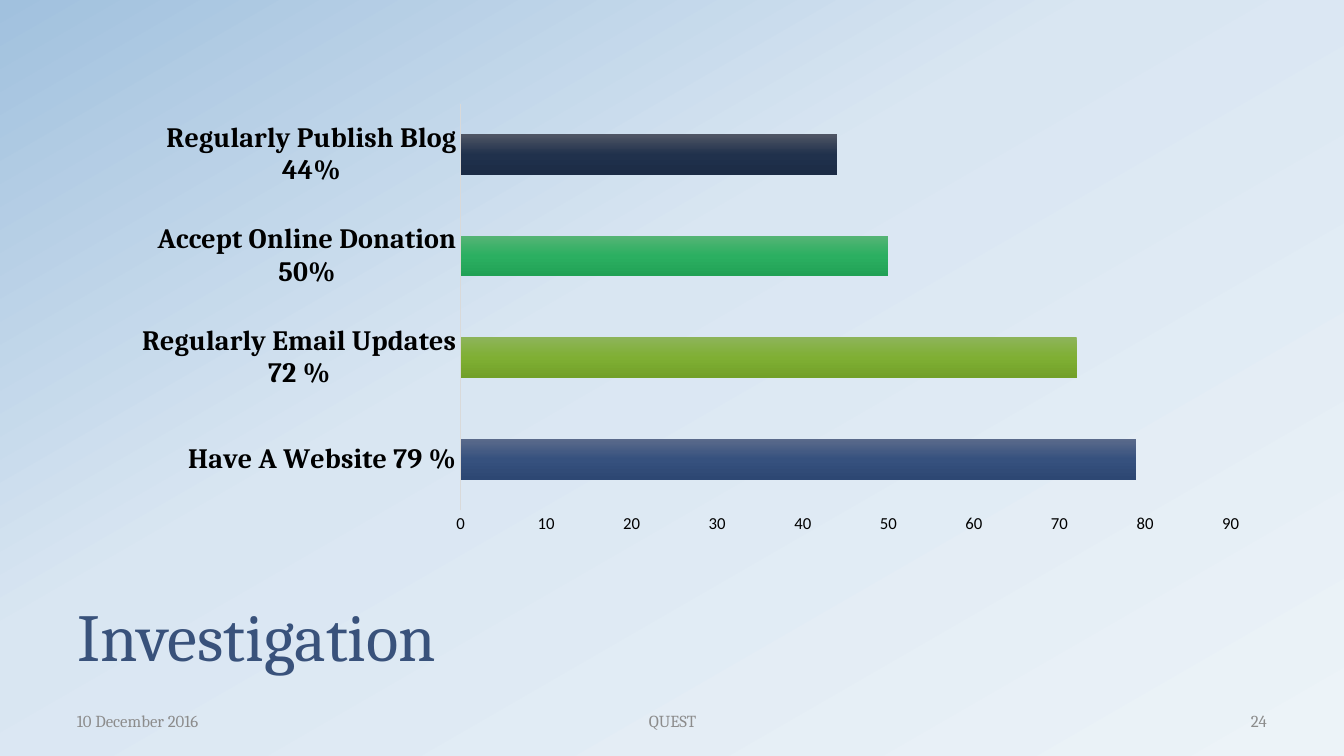
from lxml import etree
from pptx import Presentation
from pptx.chart.data import CategoryChartData
from pptx.dml.color import RGBColor
from pptx.enum.chart import XL_CHART_TYPE, XL_TICK_MARK
from pptx.enum.text import MSO_ANCHOR, MSO_AUTO_SIZE, PP_ALIGN
from pptx.oxml.ns import qn
from pptx.util import Pt

BAR_STACKED = XL_CHART_TYPE.BAR_STACKED
NO_TICK = XL_TICK_MARK.NONE
MIDDLE, BOTTOM = MSO_ANCHOR.MIDDLE, MSO_ANCHOR.BOTTOM
LEFT, CENTER, RIGHT = PP_ALIGN.LEFT, PP_ALIGN.CENTER, PP_ALIGN.RIGHT
NO_AUTOFIT = MSO_AUTO_SIZE.NONE

NAVY = RGBColor(0x39, 0x52, 0x7B)
GREY = RGBColor(0x8C, 0x8C, 0x8C)
DARK_GREY = RGBColor(0x40, 0x40, 0x40)
PALE_GREY = RGBColor(0xD9, 0xD9, 0xD9)
BLACK = RGBColor(0, 0, 0)

HEADING = "Investigation"
HEADING_BOX = (67, 562, 1210, 118)
FOOTER = [
    ("10 December 2016", 67, 314, LEFT),
    ("QUEST", 460, 425, CENTER),
    ("24", 963, 314, RIGHT),
]
FOOTER_TOP, FOOTER_HEIGHT = 701, 40
CHART_BOX = (142, 76, 1134, 462)
PLOT_AREA = {"x": 0.28, "y": 0.06, "w": 0.68, "h": 0.88}
BACKDROP = [(0, "ECF3F8"), (58, "D9E6F2"), (100, "A1C1DE")]
PRACTICES = [
    ("Have A Website 79 %", 79, ("5A6A8B", "36517E", "2D4773")),
    ("Regularly Email Updates 72 %", 72, ("8DB459", "7FAF33", "72A029")),
    ("Accept Online Donation 50%", 50, ("55B475", "2BAF61", "21A155")),
    ("Regularly Publish Blog 44%", 44, ("505665", "20314C", "1B2B45")),
]

EMU_PER_PX = 914400 / 100.8


def px(*lengths):
    return [round(length * EMU_PER_PX) for length in lengths]


def style(font, name, size, color, bold=False):
    font.name, font.size, font.bold = name, Pt(size), bold
    font.color.rgb = color


def paint_gradient(fill, owner, stops, angle):
    fill.gradient()
    gradient = owner.find(".//" + qn("a:gradFill"))
    for child in list(gradient):
        gradient.remove(child)
    stop_list = etree.SubElement(gradient, qn("a:gsLst"))
    for position, color in stops:
        stop = etree.SubElement(stop_list, qn("a:gs"), pos=str(position * 1000))
        etree.SubElement(stop, qn("a:srgbClr"), val=color)
    etree.SubElement(gradient, qn("a:lin"), ang=str(angle * 60000), scaled="0")


def place_plot(chart):
    plot_area = chart._chartSpace.find(".//" + qn("c:plotArea"))
    for old in plot_area.findall(qn("c:layout")):
        plot_area.remove(old)
    layout = etree.Element(qn("c:layout"))
    plot_area.insert(0, layout)
    manual = etree.SubElement(layout, qn("c:manualLayout"))
    settings = {"layoutTarget": "inner", "xMode": "edge", "yMode": "edge", **PLOT_AREA}
    for tag, setting in settings.items():
        etree.SubElement(manual, qn("c:" + tag), val=str(setting))


def add_heading(slide):
    heading = slide.shapes.title
    heading.left, heading.top, heading.width, heading.height = px(*HEADING_BOX)
    frame = heading.text_frame
    frame.text = HEADING
    frame.auto_size, frame.vertical_anchor = NO_AUTOFIT, BOTTOM
    paragraph = frame.paragraphs[0]
    paragraph.alignment, paragraph.line_spacing = LEFT, 0.8
    style(paragraph.font, "Cambria", 48, NAVY)


def add_footer(slide):
    for words, left, width, alignment in FOOTER:
        box = slide.shapes.add_textbox(*px(left, FOOTER_TOP, width, FOOTER_HEIGHT))
        frame = box.text_frame
        frame.text = words
        frame.word_wrap, frame.vertical_anchor = True, MIDDLE
        paragraph = frame.paragraphs[0]
        paragraph.alignment = alignment
        style(paragraph.font, "Cambria", 12, GREY)


def add_practices_chart(slide):
    practices = CategoryChartData()
    practices.categories = [label for label, _, _ in PRACTICES]
    for row, (_, percent, _) in enumerate(PRACTICES):
        shares = [percent if row == column else 0 for column in range(len(PRACTICES))]
        practices.add_series(f"Series {row + 1}", shares)
    chart = slide.shapes.add_chart(BAR_STACKED, *px(*CHART_BOX), practices).chart
    chart.has_legend = chart.has_title = False
    style(chart.font, "Calibri", 10, DARK_GREY)
    place_plot(chart)

    plot = chart.plots[0]
    plot.gap_width, plot.overlap, plot.vary_by_categories = 150, 100, False
    for series, (_, _, shades) in zip(plot.series, PRACTICES):
        paint_gradient(series.format.fill, series._element, zip((0, 50, 100), shades), 90)

    labels, scale = chart.category_axis, chart.value_axis
    for axis in (labels, scale):
        axis.major_tick_mark = axis.minor_tick_mark = NO_TICK
        axis.has_major_gridlines = False
    style(labels.tick_labels.font, "Cambria", 20, BLACK, True)
    labels.format.line.color.rgb = PALE_GREY
    labels.format.line.width = Pt(0.75)
    style(scale.tick_labels.font, "Calibri", 12, BLACK)
    scale.format.line.fill.background()
    scale.minimum_scale, scale.maximum_scale, scale.major_unit = 0, 90, 10


def main():
    deck = Presentation()
    deck.slide_width, deck.slide_height = px(1344, 756)
    slide = deck.slides.add_slide(deck.slide_layouts[5])
    paint_gradient(slide.background.fill, slide.element, BACKDROP, 240)
    add_heading(slide)
    add_footer(slide)
    add_practices_chart(slide)
    deck.save("out.pptx")


if __name__ == "__main__":
    main()
